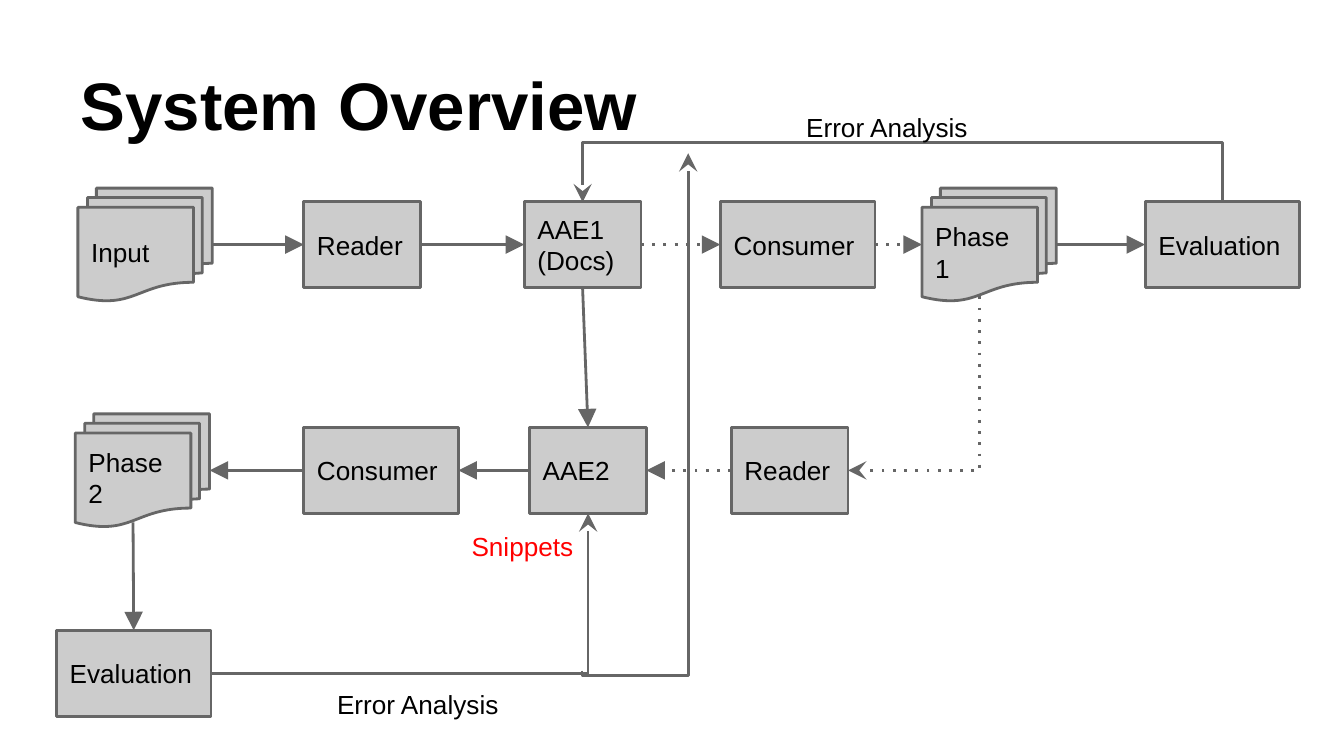
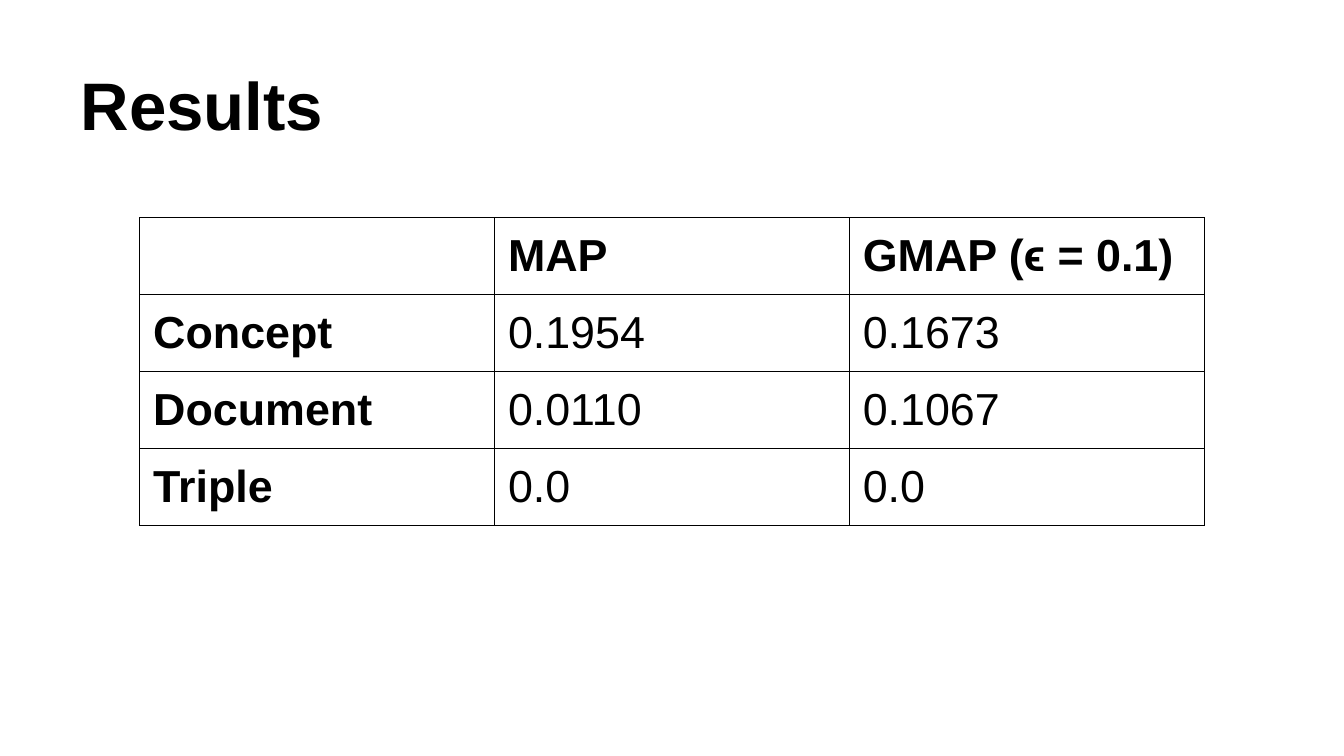
import pptx
import pptx.util
import pptx.dml.color
import pptx.enum.shapes
import pptx.enum.text
import pptx.oxml
import pptx.oxml.ns
from lxml import etree

WIDE = 10
HIGH = WIDE * 9 / 16
INK, GRAY, PALE, RED = "000000", "666666", "CCCCCC", "FF0000"
INSET = 0.1
TITLE = (0.5, 0.23, 9, 0.94)

KIND = pptx.enum.shapes.MSO_SHAPE
LINK = pptx.enum.shapes.MSO_CONNECTOR
ANCHOR = pptx.enum.text.MSO_ANCHOR
LEFT = pptx.enum.text.PP_ALIGN.LEFT
PLACE = ("left", "top", "width", "height")
EDGES = ("margin_left", "margin_right", "margin_top", "margin_bottom")

ROWS = (1.82, 3.5, 5.01)
FORMS = {
    "small": (KIND.FLOWCHART_PROCESS, 0.87, 0.64),
    "wide": (KIND.FLOWCHART_PROCESS, 1.15, 0.64),
    "stack": (KIND.FLOWCHART_MULTIDOCUMENT, 1, 0.84),
}
STEPS = {
    "input": ("Input", "stack", 0.58, 0),
    "read1": ("Reader", "small", 2.26, 0),
    "aae1": ("AAE1\n(Docs)", "small", 3.9, 0),
    "cons1": ("Consumer", "wide", 5.36, 0),
    "phase1": ("Phase 1", "stack", 6.86, 0),
    "eval1": ("Evaluation", "wide", 8.52, 0),
    "read2": ("Reader", "small", 5.44, 1),
    "aae2": ("AAE2", "small", 3.94, 1),
    "cons2": ("Consumer", "wide", 2.26, 1),
    "phase2": ("Phase 2", "stack", 0.56, 1),
    "eval2": ("Evaluation", "wide", 0.42, 2),
}
FLOWS = [
    ("input", "right", "read1", "left", False),
    ("read1", "right", "aae1", "left", False),
    ("aae1", "right", "cons1", "left", True),
    ("cons1", "right", "phase1", "left", True),
    ("phase1", "right", "eval1", "left", False),
    ("read2", "left", "aae2", "right", True),
    ("aae2", "left", "cons2", "right", False),
    ("cons2", "left", "phase2", "right", False),
    ("phase2", "base", "eval2", "top", False),
    ("aae1", "base", "aae2", "top", False),
]
BENDS = [
    (("phase1", "base"), ("read2", "right"), 90, False, None, True),
    (("eval1", "top"), ("aae1", "top"), 90, False, -44, False),
    (("eval2", "right"), ("aae2", "base"), 180, True, None, False),
    ((4.33, 4.99), (5.12, 1.14), 270, False, -0.01, False),
]
NOTES = [
    ("Error Analysis", INK, (5.9, 0.73, 1.96, 0.27)),
    ("Error Analysis", INK, (2.41, 5.02, 1.96, 0.27)),
    ("Snippets", RED, (3.41, 3.85, 1.22, 0.5)),
]
SCORES = [
    ("", "MAP", "GMAP (ϵ = 0.1)"),
    ("Concept", "0.1954", "0.1673"),
    ("Document", "0.0110", "0.1067"),
    ("Triple", "0.0", "0.0"),
]
GRID = (1.04, 1.62, 2.64, 0.57)


def tint(code):
    return pptx.dml.color.RGBColor.from_string(code)


def inch(*vals):
    return [pptx.util.Inches(v) for v in vals]


def apply(item, vals):
    for name, val in vals.items():
        setattr(item, name, val)


def child(node, tag, **attrs):
    return etree.SubElement(node, pptx.oxml.ns.qn(tag), attrs)


def pad(item):
    apply(item, dict.fromkeys(EDGES, pptx.util.Inches(INSET)))


def write(frame, text, size, code=INK, bold=False):
    frame.text = text
    for para in frame.paragraphs:
        para.alignment = LEFT
        for run in para.runs:
            apply(run.font, {"name": "Arial", "size": pptx.util.Pt(size), "bold": bold})
            run.font.color.rgb = tint(code)


def layout(frame, anchor):
    pad(frame)
    apply(frame, {
        "word_wrap": True,
        "vertical_anchor": anchor,
        "auto_size": pptx.enum.text.MSO_AUTO_SIZE.NONE,
    })


def start(deck, text):
    slide = deck.slides.add_slide(deck.slide_layouts[5])
    head = slide.shapes.title
    apply(head, dict(zip(PLACE, inch(*TITLE))))
    layout(head.text_frame, ANCHOR.BOTTOM)
    write(head.text_frame, text, 36, bold=True)
    return slide


def bounds(key):
    label, form, left, row = STEPS[key]
    kind, wide, high = FORMS[form]
    return left, ROWS[row] - high / 2, wide, high


def port(key, side):
    if key not in STEPS:
        return key, side
    left, top, wide, high = bounds(key)
    stack = STEPS[key][1] == "stack"
    mid = left + wide * (0.43 if stack else 0.5)
    return {
        "left": (left, top + high / 2),
        "right": (left + wide, top + high / 2),
        "top": (mid, top),
        "base": (mid, top + high * (0.96 if stack else 1)),
    }[side]


def step(slide, key):
    label, form = STEPS[key][:2]
    box = slide.shapes.add_shape(FORMS[form][0], *inch(*bounds(key)))
    box.shadow.inherit = False
    box.fill.solid()
    box.fill.fore_color.rgb = tint(PALE)
    box.line.color.rgb = tint(GRAY)
    box.line.width = pptx.util.Pt(1.5)
    layout(box.text_frame, ANCHOR.MIDDLE)
    write(box.text_frame, label, 14)


def arrow(slide, kind, head, tail, tip, dots):
    line = slide.shapes.add_connector(kind, *inch(*head, *tail))
    line.line.color.rgb = tint(GRAY)
    line.line.width = pptx.util.Pt(1.5)
    pen = line.line._get_or_add_ln()
    if dots:
        child(pen, "a:prstDash", val="dot")
    child(pen, "a:tailEnd", type=tip, w="lg", len="lg")
    child(line._element.spPr, "a:effectLst")
    return line


def bend(slide, head, tail, turn, flip, ratio, dots):
    head, tail = port(*head), port(*tail)
    line = arrow(slide, LINK.ELBOW, head, tail, "stealth", dots)
    wide, high = (max(abs(a - b), 0.01) for a, b in zip(head, tail))
    if turn % 180:
        wide, high = high, wide
    left = (head[0] + tail[0] - wide) / 2
    top = (head[1] + tail[1] - high) / 2
    apply(line, dict(zip(PLACE, inch(left, top, wide, high))))
    props = line._element.spPr
    frame = props.find(pptx.oxml.ns.qn("a:xfrm"))
    for name in ("flipH", "flipV"):
        frame.attrib.pop(name, None)
    frame.set("rot", str(turn * 60000))
    if flip:
        frame.set("flipH", "1")
    shape = props.find(pptx.oxml.ns.qn("a:prstGeom"))
    shape.set("prst", "bentConnector2" if ratio is None else "bentConnector3")
    if ratio is not None:
        guides = shape.find(pptx.oxml.ns.qn("a:avLst"))
        if guides is None:
            guides = child(shape, "a:avLst")
        child(guides, "a:gd", name="adj1", fmla=f"val {round(ratio * 100000)}")


def note(slide, text, code, place):
    box = slide.shapes.add_textbox(*inch(*place))
    layout(box.text_frame, ANCHOR.TOP)
    write(box.text_frame, text, 14, code)


def border(cell):
    props = cell._tc.get_or_add_tcPr()
    for spot, side in enumerate(("L", "R", "T", "B")):
        edge = etree.Element(pptx.oxml.ns.qn("a:ln" + side), w="9525")
        child(child(edge, "a:solidFill"), "a:srgbClr", val=INK)
        props.insert(spot, edge)


def scores(slide):
    left, top, wide, high = GRID
    rows, cols = len(SCORES), len(SCORES[0])
    place = inch(left, top, wide * cols, high * rows)
    table = slide.shapes.add_table(rows, cols, *place).table
    apply(table, {"first_row": False, "horz_banding": False})
    for r, row in enumerate(SCORES):
        for c, text in enumerate(row):
            cell = table.cell(r, c)
            cell.fill.background()
            pad(cell)
            write(cell.text_frame, text, 24, bold=r == 0 or c == 0)
            border(cell)


def main():
    deck = pptx.Presentation()
    deck.slide_width, deck.slide_height = inch(WIDE, HIGH)
    slide = start(deck, "System Overview")
    for key in STEPS:
        step(slide, key)
    for one, out, two, into, dots in FLOWS:
        arrow(slide, LINK.STRAIGHT, port(one, out), port(two, into), "triangle", dots)
    for row in BENDS:
        bend(slide, *row)
    for row in NOTES:
        note(slide, *row)
    scores(start(deck, "Results"))
    deck.save("out.pptx")


if __name__ == "__main__":
    main()
